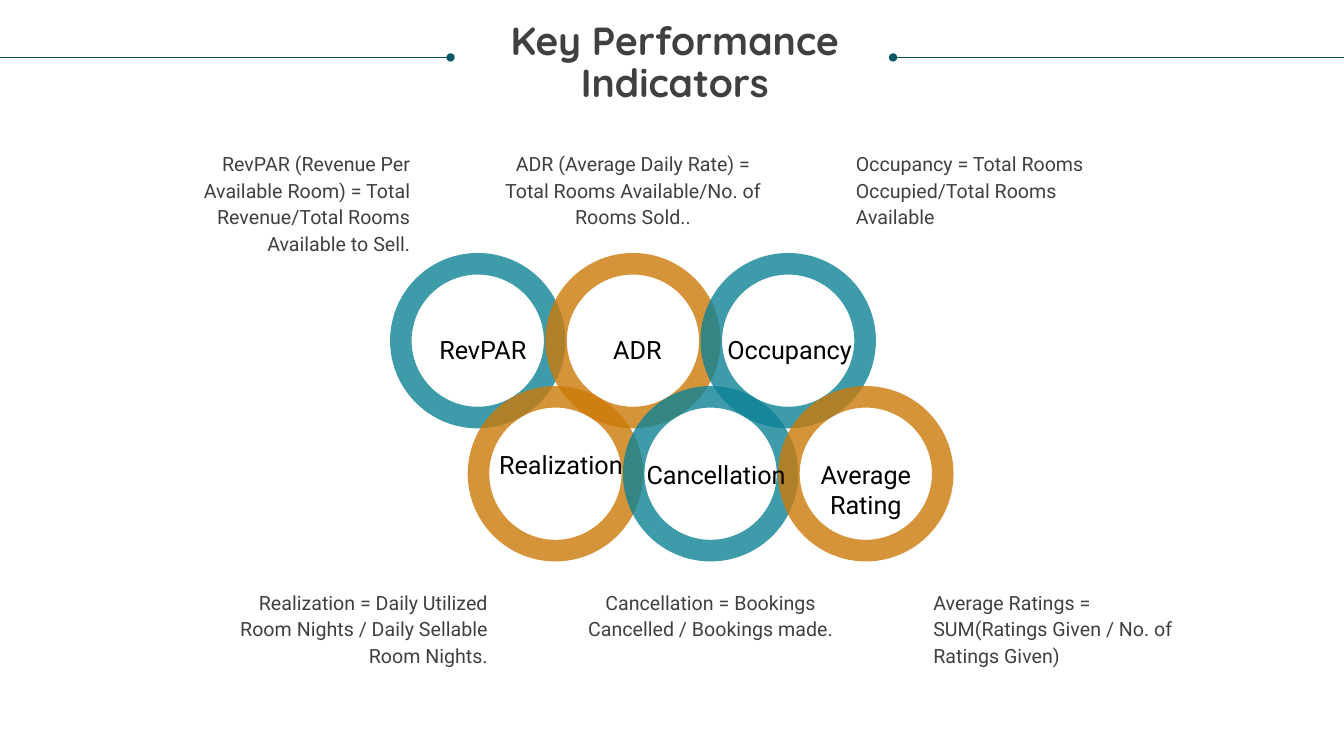
import dataclasses
import pptx
import pptx.util
import pptx.dml.color
import pptx.enum.shapes
import pptx.enum.text
import pptx.oxml
import pptx.oxml.ns

Pt = pptx.util.Pt
Align = pptx.enum.text.PP_ALIGN


@dataclasses.dataclass(frozen=True)
class Theme:
    teal: str = "0D8295"
    gold: str = "CB7A09"
    rule: str = "085764"
    gray: str = "404040"
    black: str = "000000"
    head: str = "Quicksand"
    body: str = "Roboto"
    title: int = 28
    label: int = 18
    note: int = 14
    alpha: int = 80000


theme = Theme()

RINGS = [
    ("RevPAR", (25.2, 54.72, 82.08, 28.8)),
    ("ADR", (25.2, 54.72, 81.36, 28.8)),
    ("Occupancy ", (3.6, 54.72, 124.56, 28.8)),
    ("Realization", (14.4, 41.76, 104.4, 28.8)),
    ("Cancellation", (7.92, 48.96, 117.36, 28.8)),
    ("Average Rating", (14.4, 48.96, 96.48, 51.12)),
]
NOTES = [
    "RevPAR (Revenue Per Available Room) = Total Revenue/Total Rooms Available to Sell.",
    "ADR (Average Daily Rate) = Total Rooms Available/No. of Rooms Sold..",
    "Occupancy = Total Rooms Occupied/Total Rooms Available",
    "Realization = Daily Utilized Room Nights / Daily Sellable Room Nights.",
    "Cancellation = Bookings Cancelled / Bookings made.",
    "Average Ratings = SUM(Ratings Given / No. of Ratings Given)",
]


def color(code):
    return pptx.dml.color.RGBColor.from_string(code)


def node(name, **attrs):
    item = pptx.oxml.parse_xml(f"<a:{name} {pptx.oxml.ns.nsdecls('a')}/>")
    for key, value in attrs.items():
        item.set(key, value)
    return item


def write(slide, box, text, font, size, ink, align, inset=True, space=None, bold=False):
    frame = slide.shapes.add_textbox(*map(Pt, box)).text_frame
    frame.word_wrap = True
    if not inset:
        frame.margin_left = frame.margin_right = 0
        frame.margin_top = frame.margin_bottom = 0
    frame.text = text
    para = frame.paragraphs[0]
    para.alignment = align
    if space:
        para.line_spacing = space
    face = para.runs[0].font
    face.name, face.size, face.bold = font, Pt(size), bold
    face.color.rgb = color(ink)


def rule(slide, start, end, y):
    line = slide.shapes.add_connector(
        pptx.enum.shapes.MSO_CONNECTOR.STRAIGHT, Pt(start), Pt(y), Pt(end), Pt(y))
    line.line.color.rgb = color(theme.rule)
    line.line.width = Pt(0.5)
    line.line._get_or_add_ln().append(node("headEnd", type="oval"))
    line._element.spPr.append(node("effectLst"))


def header(slide, box):
    left, top, width, height = box
    rule(slide, 637.92, left + width, top + 41.04)
    write(slide, (left + 326.16, top + 15.12, 311.76, height), "Key Performance Indicators",
          theme.head, theme.title, theme.gray, Align.CENTER, False, 0.9, True)
    rule(slide, 321.84, left, top + 41.04)


def ring(slide, box, ink):
    shape = slide.shapes.add_shape(pptx.enum.shapes.MSO_SHAPE.DONUT, *map(Pt, box))
    shape.shadow.inherit = False
    shape.adjustments[0] = 0.123
    shape.fill.solid()
    shape.fill.fore_color.rgb = color(ink)
    tint = shape._element.spPr.find(".//" + pptx.oxml.ns.qn("a:srgbClr"))
    tint.append(node("alpha", val=str(theme.alpha)))
    shape.line.fill.background()


def cluster(slide, box):
    left, top, size, pitch = box
    spots = []
    for index in range(len(RINGS)):
        row, col = divmod(index, 3)
        spots.append((left + (col + row / 2) * pitch, top + row * 95.04))
    for index, (x, y) in enumerate(spots):
        ring(slide, (x, y, size, size), theme.gold if index % 2 else theme.teal)
    for (x, y), (text, (dx, dy, width, height)) in zip(spots, RINGS):
        write(slide, (x + dx, y + dy, width, height), text,
              theme.body, theme.label, theme.black, Align.CENTER)


def notes(slide, box, texts):
    left, top, width, height = box
    sides = (Align.RIGHT, Align.CENTER, Align.LEFT)
    for col, (text, side) in enumerate(zip(texts, sides)):
        write(slide, (left + col * 254.88, top, width, height), text,
              theme.body, theme.note, theme.gray, side, False, Pt(19))


def main():
    deck = pptx.Presentation()
    deck.slide_width, deck.slide_height = Pt(960), Pt(540)
    slide = deck.slides.add_slide(deck.slide_layouts[6])
    header(slide, (0, 0, 960, 91.44))
    cluster(slide, (278.64, 180.72, 125.28, 110.88))
    notes(slide, (101.52, 106.56, 191.52, 57.6), NOTES[:3])
    notes(slide, (156.96, 419.76, 191.52, 57.6), NOTES[3:])
    deck.save("out.pptx")


if __name__ == "__main__":
    main()
